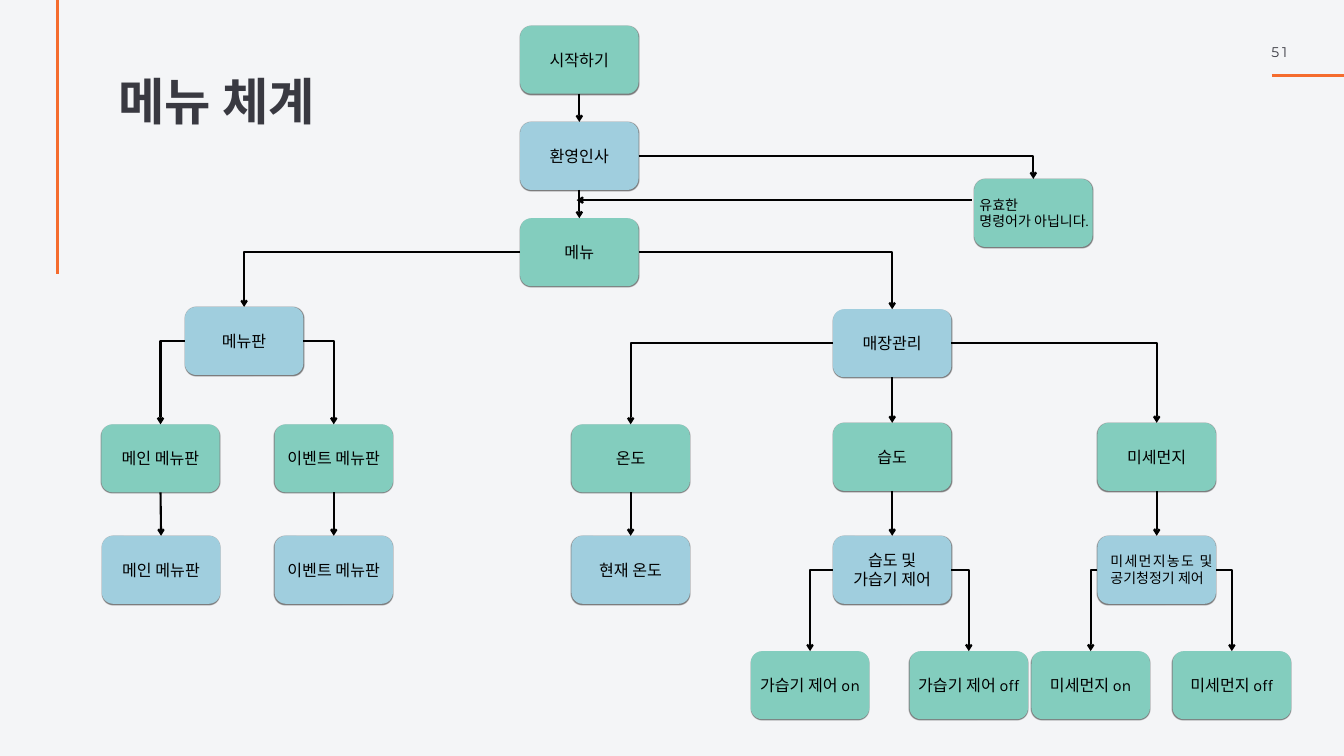
from dataclasses import dataclass

from lxml import etree
from pptx import Presentation
from pptx import util as u
from pptx.dml import color
from pptx.enum import shapes, text
from pptx.oxml import ns

WIDTH, HEIGHT = 26.67, 15
NODE_WIDTH, NODE_HEIGHT = 8.81, 9
TOP, STEP = 3.4, 12.73
BRANCH, ITEM, DETAIL, SWITCH = 40.6, 56.13, 70.87, 86.13
COLORS = {
    "paper": "F4F5F7",
    "ink": "393941",
    "accent": "F56C2E",
    "green": "83CDBE",
    "blue": "A0CEDE",
    "black": "000000",
}
LEFT, CENTER, JUSTIFY = text.PP_ALIGN.LEFT, text.PP_ALIGN.CENTER, text.PP_ALIGN.JUSTIFY
TOP_SITE, LEFT_SITE, BOTTOM_SITE, RIGHT_SITE = range(4)


@dataclass(frozen=True)
class Node:
    key: str
    label: str
    column: float
    row: float
    fill: str
    size: int = 23
    align: text.PP_ALIGN = CENTER
    inset: float = 0.04


@dataclass(frozen=True)
class Link:
    source: str
    target: str
    side: int = BOTTOM_SITE


NODES = [
    Node("start", "시작하기", 38.7, TOP, "green"),
    Node("welcome", "환영인사", 38.7, TOP + STEP, "blue"),
    Node("menu", "메뉴", 38.7, TOP + 2 * STEP, "green"),
    Node("invalid", "유효한\n명령어가 아닙니다.", 72.48, 23.67, "green", 20, LEFT),
    Node("boards", "메뉴판", 13.76, BRANCH, "blue"),
    Node("store", "매장관리", 61.98, BRANCH + 0.3, "blue"),
    Node("main", "메인 메뉴판", 7.54, ITEM, "green"),
    Node("event", "이벤트 메뉴판", 20.43, ITEM, "green"),
    Node("heat", "온도", 42.52, ITEM, "green"),
    Node("humidity", "습도", 61.98, ITEM - 0.2, "green"),
    Node("dust", "미세먼지", 81.66, ITEM - 0.2, "green"),
    Node("main board", "메인 메뉴판", 7.58, DETAIL, "blue"),
    Node("event board", "이벤트 메뉴판", 20.43, DETAIL, "blue"),
    Node("heat now", "현재 온도", 42.52, DETAIL, "blue"),
    Node("humidifier", "습도 및\n가습기 제어", 61.98, DETAIL, "blue"),
    Node("purifier", "미세먼지농도 및 공기청정기 제어", 81.66, DETAIL, "blue", 20, JUSTIFY, 0.19),
    Node("humidifier on", "가습기 제어 on", 55.87, SWITCH, "green"),
    Node("humidifier off", "가습기 제어 off", 67.68, SWITCH, "green"),
    Node("purifier on", "미세먼지 on", 76.75, SWITCH, "green"),
    Node("purifier off", "미세먼지 off", 87.25, SWITCH, "green"),
]
LINKS = [
    Link("start", "welcome"),
    Link("welcome", "menu"),
    Link("welcome", "invalid", RIGHT_SITE),
    Link("menu", "boards", LEFT_SITE),
    Link("menu", "store", RIGHT_SITE),
    Link("boards", "main", LEFT_SITE),
    Link("boards", "event", RIGHT_SITE),
    Link("store", "heat", LEFT_SITE),
    Link("store", "humidity"),
    Link("store", "dust", RIGHT_SITE),
    Link("main", "main board"),
    Link("event", "event board"),
    Link("heat", "heat now"),
    Link("humidity", "humidifier"),
    Link("dust", "purifier"),
    Link("humidifier", "humidifier on", LEFT_SITE),
    Link("humidifier", "humidifier off", RIGHT_SITE),
    Link("purifier", "purifier on", LEFT_SITE),
    Link("purifier", "purifier off", RIGHT_SITE),
]


def across(share: float) -> int:
    return u.Inches(WIDTH * share / 100)


def down(share: float) -> int:
    return u.Inches(HEIGHT * share / 100)


def area(left: float, top: float, width: float, height: float) -> tuple:
    return across(left), down(top), across(width), down(height)


def rgb(name: str) -> color.RGBColor:
    return color.RGBColor.from_string(COLORS[name])


def write(frame, words: str, *, size: int, font: str = "Karla", ink: str = "black",
          bold: bool = False, align=LEFT, anchor=text.MSO_ANCHOR.MIDDLE,
          inset: float = 0.04, right: float = 0.04, spacing: float = 1,
          tracking: int = 0) -> None:
    frame.word_wrap = True
    frame.auto_size = text.MSO_AUTO_SIZE.NONE
    frame.vertical_anchor = anchor
    frame.margin_left, frame.margin_right = u.Inches(inset), u.Inches(right)
    frame.margin_top = frame.margin_bottom = u.Inches(0.04)
    for index, line in enumerate(words.split("\n")):
        para = frame.add_paragraph() if index else frame.paragraphs[0]
        para.alignment = align
        para.line_spacing = spacing
        span = para.add_run()
        span.text = line
        span.font.name, span.font.size, span.font.bold = font, u.Pt(size), bold
        span.font.color.rgb = rgb(ink)
        if tracking:
            span.font._element.set("spc", str(tracking * 100))


def draw_node(page, node: Node):
    box = page.shapes.add_shape(
        shapes.MSO_SHAPE.ROUNDED_RECTANGLE,
        *area(node.column, node.row, NODE_WIDTH, NODE_HEIGHT))
    box.fill.solid()
    box.fill.fore_color.rgb = rgb(node.fill)
    box.line.fill.background()
    box.shadow.inherit = False
    effects = box._element.spPr.find(ns.qn("a:effectLst"))
    shadow = etree.SubElement(effects, ns.qn("a:outerShdw"), blurRad="12700",
                              dist="12700", dir="5400000", rotWithShape="0")
    black = etree.SubElement(shadow, ns.qn("a:srgbClr"), val=COLORS["black"])
    etree.SubElement(black, ns.qn("a:alpha"), val="50000")
    write(box.text_frame, node.label, size=node.size, align=node.align,
          inset=node.inset, right=0.04 if node.align == CENTER else 0)
    return box


def draw_line(page, start: tuple, end: tuple, *, ink: str = "black",
              weight: float = 3, arrow: bool = True, bent: bool = False):
    kind = shapes.MSO_CONNECTOR.ELBOW if bent else shapes.MSO_CONNECTOR.STRAIGHT
    line = page.shapes.add_connector(
        kind, across(start[0]), down(start[1]), across(end[0]), down(end[1]))
    line.line.color.rgb = rgb(ink)
    line.line.width = u.Pt(weight)
    properties = line._element.spPr
    if bent:
        properties.find(ns.qn("a:prstGeom")).set("prst", "bentConnector2")
    if arrow:
        etree.SubElement(line.line._get_or_add_ln(), ns.qn("a:tailEnd"), type="arrow")
    etree.SubElement(properties, ns.qn("a:effectLst"))
    return line


def draw_link(page, link: Link, boxes: dict) -> None:
    line = draw_line(page, (0, 0), (1, 1), bent=link.side != BOTTOM_SITE)
    line.begin_connect(boxes[link.source], link.side)
    line.end_connect(boxes[link.target], TOP_SITE)


def main() -> None:
    deck = Presentation()
    deck.slide_width, deck.slide_height = across(100), down(100)
    page = deck.slides.add_slide(deck.slide_layouts[5])
    page.background.fill.solid()
    page.background.fill.fore_color.rgb = rgb("paper")

    title = page.shapes.title
    title.left, title.top, title.width, title.height = area(8.66, 10.53, 20.58, 7.27)
    write(title.text_frame, "메뉴 체계", size=72, font="Montserrat", ink="ink",
          bold=True, anchor=text.MSO_ANCHOR.TOP, spacing=0.8)

    number = page.shapes.add_textbox(*area(94.45, 5.53, 2.47, 2.8))
    write(number.text_frame, "51", size=20, font="Montserrat", ink="ink",
          anchor=text.MSO_ANCHOR.TOP, tracking=4)
    for start, end in [((94.64, 10), (100, 10)), ((4.27, 0), (4.27, 36.27))]:
        draw_line(page, start, end, ink="accent", weight=4, arrow=False)

    boxes = {node.key: draw_node(page, node) for node in NODES}
    for link in LINKS:
        draw_link(page, link, boxes)
    draw_line(page, (72.29, 26.47), (42.9, 26.47))

    deck.save("out.pptx")


if __name__ == "__main__":
    main()
